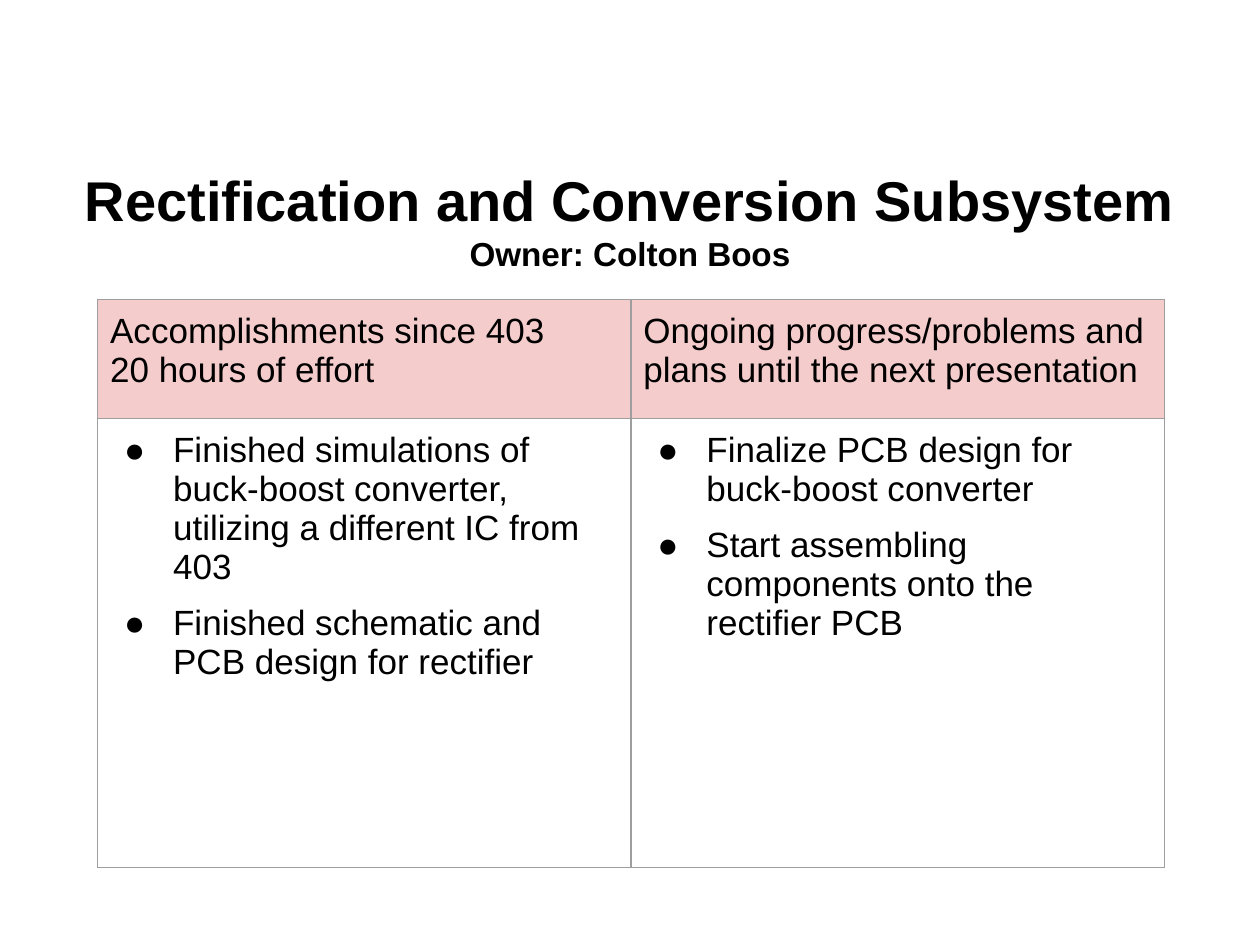
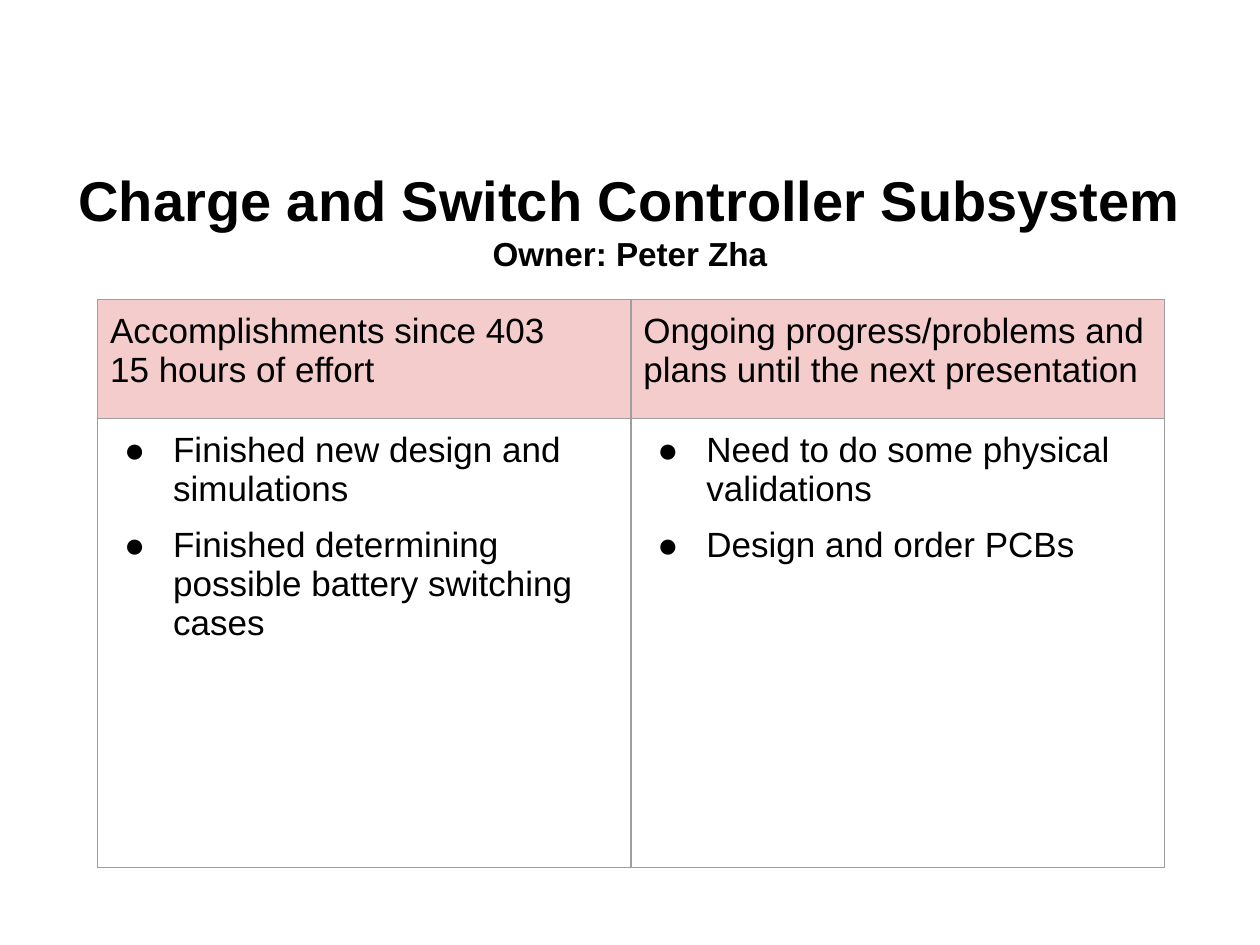
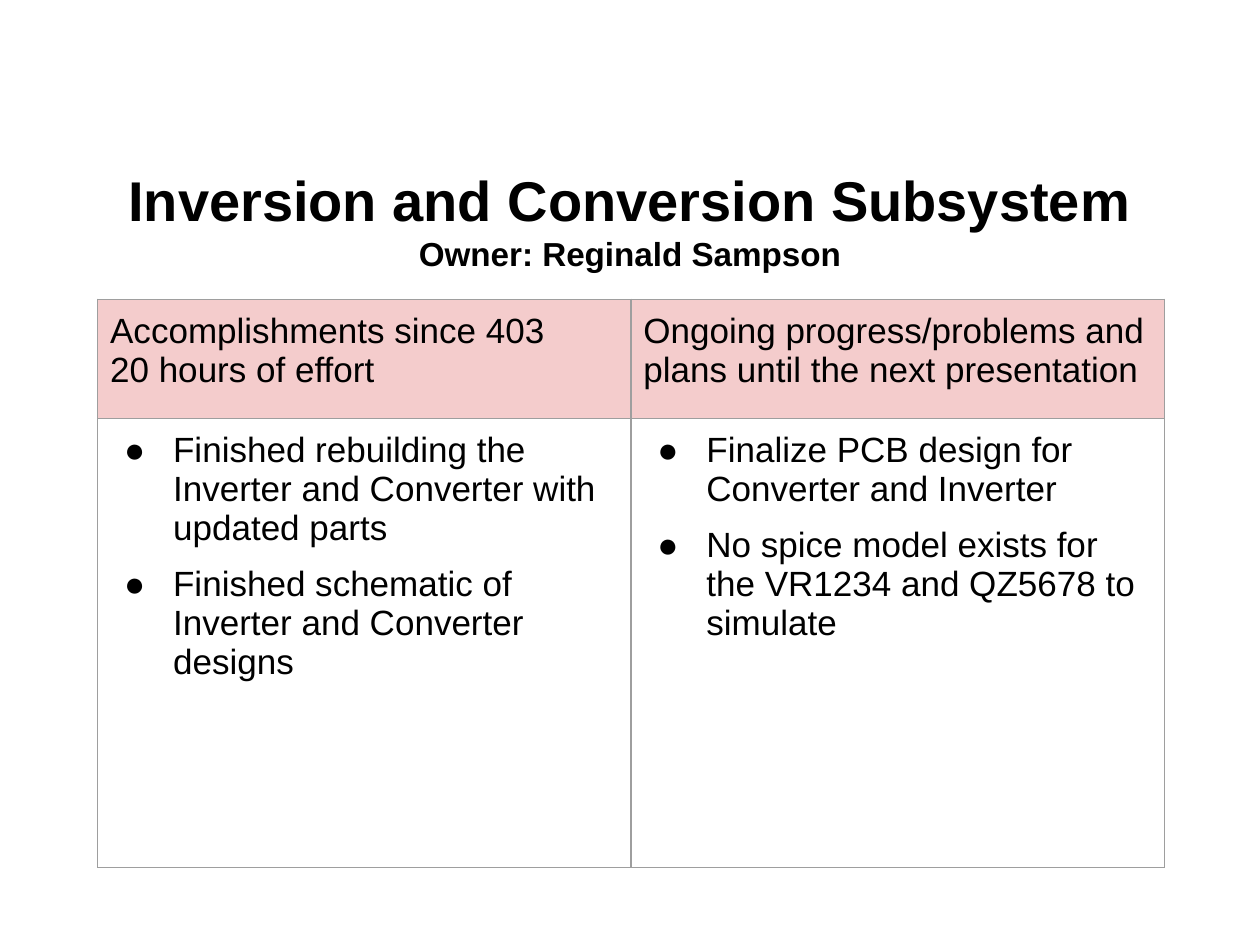
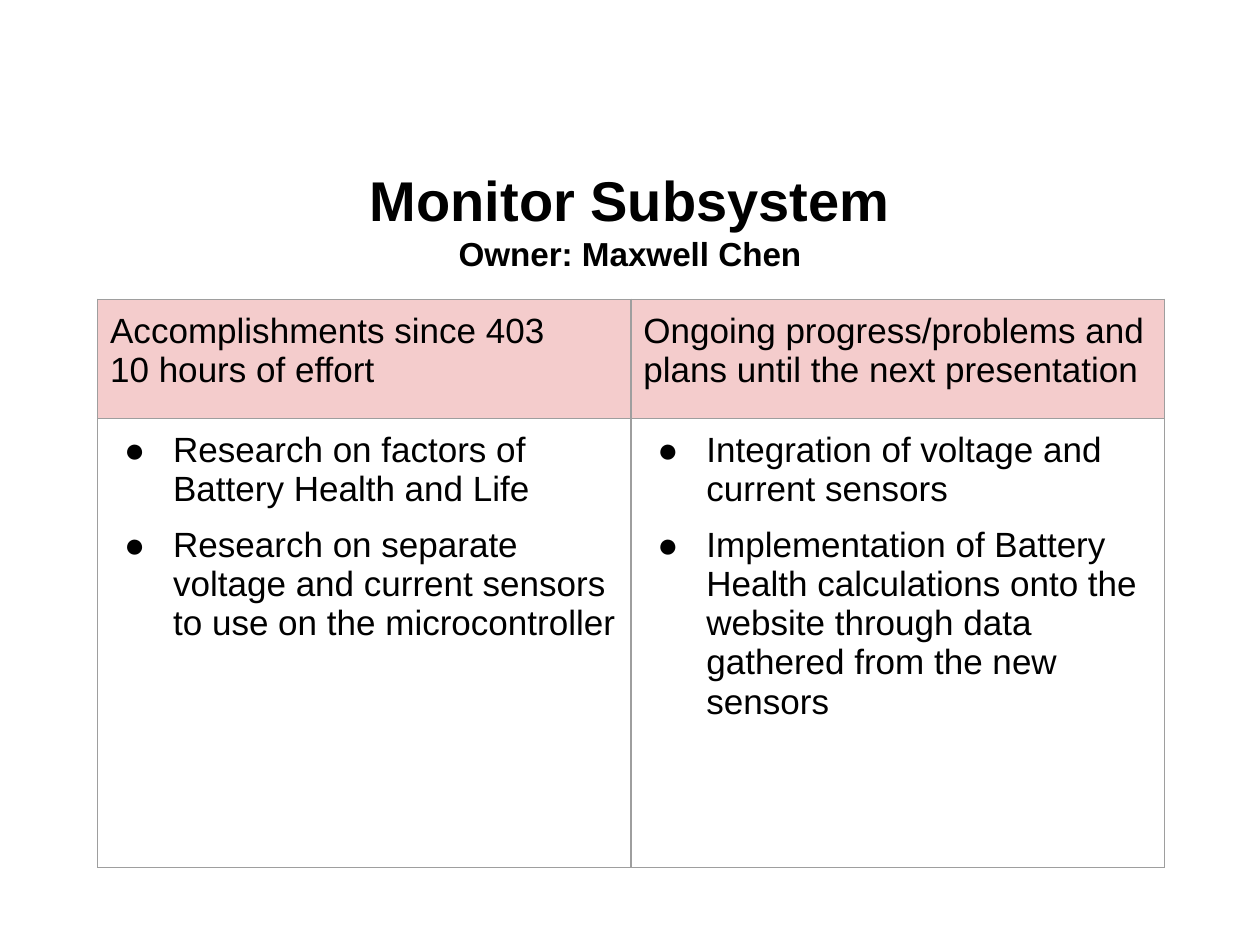
from dataclasses import dataclass

from lxml.etree import SubElement
from pptx import Presentation
from pptx.dml.color import RGBColor
from pptx.enum.text import MSO_ANCHOR, PP_ALIGN
from pptx.oxml.ns import qn
from pptx.util import Cm, Pt

FONT = "Arial"
BLACK = RGBColor(0x00, 0x00, 0x00)
HEADER_PINK = RGBColor(0xF4, 0xCC, 0xCC)
BORDER_GREY = RGBColor(0x9E, 0x9E, 0x9E)

BLANK_LAYOUT = 6
TITLE_SIZE = Pt(32)
OWNER_SIZE = Pt(19)
TABLE_TEXT_SIZE = Pt(20)
BULLET_GAP = Pt(10)
CELL_MARGIN = Cm(0.25)
COLUMN_WIDTH = Cm(10.75)
ROW_HEIGHTS = (Cm(2.4), Cm(9.05))
PLANS_HEADING = "Ongoing progress/problems and plans until the next presentation"


@dataclass
class Subsystem:
    title: str
    owner: str
    hours: int
    accomplishments: list[str]
    plans: list[str]


SUBSYSTEMS = [
    Subsystem(
        "Rectification and Conversion Subsystem", "Colton Boos", 20,
        ["Finished simulations of buck-boost converter, utilizing a different IC from 403",
         "Finished schematic and PCB design for rectifier"],
        ["Finalize PCB design for buck-boost converter",
         "Start assembling components onto the rectifier PCB"],
    ),
    Subsystem(
        "Charge and Switch Controller Subsystem", "Peter Zha", 15,
        ["Finished new design and simulations",
         "Finished determining possible battery switching cases"],
        ["Need to do some physical validations",
         "Design and order PCBs"],
    ),
    Subsystem(
        "Inversion and Conversion Subsystem", "Reginald Sampson", 20,
        ["Finished rebuilding the Inverter and Converter with updated parts",
         "Finished schematic of Inverter and Converter designs"],
        ["Finalize PCB design for Converter and Inverter",
         "No spice model exists for the VR1234 and QZ5678 to simulate"],
    ),
    Subsystem(
        "Monitor Subsystem", "Maxwell Chen", 10,
        ["Research on factors of Battery Health and Life",
         "Research on separate voltage and current sensors to use on the microcontroller"],
        ["Integration of voltage and current sensors",
         "Implementation of Battery Health calculations onto the website "
         "through data gathered from the new sensors"],
    ),
]


def add_run(paragraph, text, size, bold=False):
    run = paragraph.add_run()
    run.text = text
    run.font.name = FONT
    run.font.size = size
    run.font.bold = bold
    run.font.color.rgb = BLACK


def add_paragraphs(text_frame, lines):
    """Yield one paragraph per line, starting with the frame's first one."""
    for index, line in enumerate(lines):
        paragraph = text_frame.add_paragraph() if index else text_frame.paragraphs[0]
        yield index, paragraph, line


def add_title(slide, title, owner):
    shape = slide.shapes.add_textbox(Cm(1.27), Cm(2.92), Cm(22.86), Cm(3))
    text_frame = shape.text_frame
    text_frame.word_wrap = True
    text_frame.vertical_anchor = MSO_ANCHOR.MIDDLE
    lines = [(title, TITLE_SIZE), (f"Owner: {owner}", OWNER_SIZE)]
    for _, paragraph, (text, size) in add_paragraphs(text_frame, lines):
        paragraph.alignment = PP_ALIGN.CENTER
        add_run(paragraph, text, size, bold=True)


def add_bullet(paragraph):
    properties = paragraph._p.get_or_add_pPr()
    properties.set("marL", str(Cm(1.27)))
    properties.set("indent", str(-Cm(0.99)))
    color = SubElement(properties, qn("a:buClr"))
    SubElement(color, qn("a:srgbClr"), val=str(BLACK))
    SubElement(properties, qn("a:buFont"), typeface=FONT)
    SubElement(properties, qn("a:buChar"), char="●")


def add_borders(cell):
    properties = cell._tc.get_or_add_tcPr()
    for side in ("lnL", "lnR", "lnT", "lnB"):
        line = SubElement(properties, qn(f"a:{side}"), w=str(Pt(0.75)))
        fill = SubElement(line, qn("a:solidFill"))
        SubElement(fill, qn("a:srgbClr"), val=str(BORDER_GREY))


def fill_cell(cell, lines, is_header):
    add_borders(cell)
    cell.margin_left = cell.margin_right = CELL_MARGIN
    cell.margin_top = cell.margin_bottom = CELL_MARGIN
    if is_header:
        cell.fill.solid()
        cell.fill.fore_color.rgb = HEADER_PINK
    else:
        cell.fill.background()
    for index, paragraph, line in add_paragraphs(cell.text_frame, lines):
        if not is_header:
            if index:
                paragraph.space_before = BULLET_GAP
            add_bullet(paragraph)
        add_run(paragraph, line, TABLE_TEXT_SIZE)


def add_status_table(slide, subsystem):
    rows = [
        [["Accomplishments since 403", f"{subsystem.hours} hours of effort"],
         [PLANS_HEADING]],
        [subsystem.accomplishments, subsystem.plans],
    ]
    table = slide.shapes.add_table(
        2, 2, Cm(1.97), Cm(6.03), 2 * COLUMN_WIDTH, sum(ROW_HEIGHTS)
    ).table
    table.horz_banding = False
    table.first_row = False
    for column in table.columns:
        column.width = COLUMN_WIDTH
    for row_index, row in enumerate(rows):
        table.rows[row_index].height = ROW_HEIGHTS[row_index]
        for column_index, lines in enumerate(row):
            fill_cell(table.cell(row_index, column_index), lines, row_index == 0)


def main():
    presentation = Presentation()
    presentation.slide_width = Cm(25.4)
    presentation.slide_height = Cm(19.05)
    for subsystem in SUBSYSTEMS:
        slide = presentation.slides.add_slide(presentation.slide_layouts[BLANK_LAYOUT])
        add_title(slide, subsystem.title, subsystem.owner)
        add_status_table(slide, subsystem)
    presentation.save("out.pptx")


if __name__ == "__main__":
    main()
